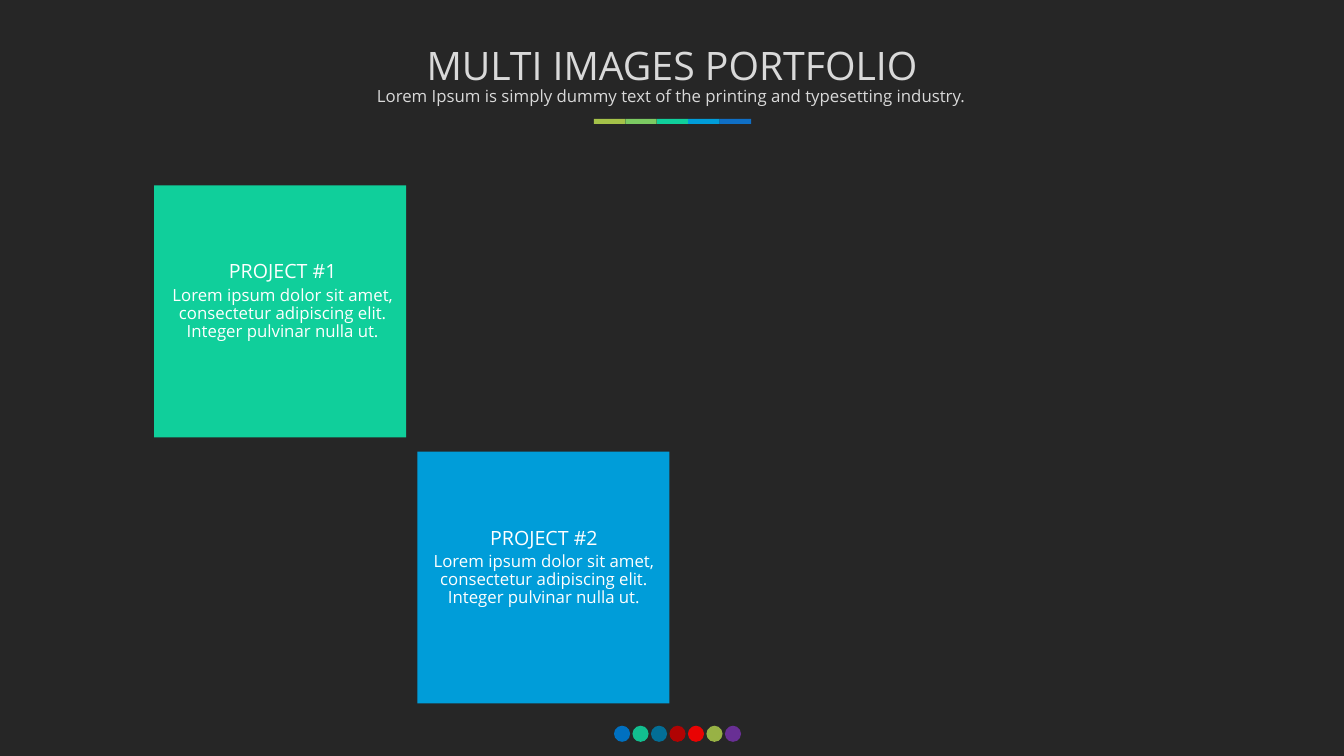
import pptx
import pptx.dml.color
import pptx.enum.shapes
import pptx.enum.text
import pptx.oxml
import pptx.oxml.ns
import pptx.util

Inches = pptx.util.Inches
Pt = pptx.util.Pt
RGBColor = pptx.dml.color.RGBColor
SHAPE = pptx.enum.shapes.MSO_SHAPE
ANCHOR = pptx.enum.text.MSO_ANCHOR
CENTER = pptx.enum.text.PP_ALIGN.CENTER

FONT = "Open Sans"
BACKGROUND = RGBColor(0x26, 0x26, 0x26)
LIGHT_GRAY = RGBColor(0xD9, 0xD9, 0xD9)
WHITE = RGBColor(0xFF, 0xFF, 0xFF)
NAVY = RGBColor(0x0F, 0x6F, 0xC6)
BLUE = RGBColor(0x00, 0x9D, 0xD9)
TEAL = RGBColor(0x10, 0xCF, 0x9B)
GREEN = RGBColor(0x7C, 0xCA, 0x62)
OLIVE = RGBColor(0xA5, 0xC2, 0x49)
COBALT = RGBColor(0x00, 0x70, 0xC0)
PETROL = RGBColor(0x00, 0x76, 0xA3)
CRIMSON = RGBColor(0xC0, 0x00, 0x00)
RED = RGBColor(0xFF, 0x00, 0x00)
PURPLE = RGBColor(0x70, 0x30, 0xA0)

STRIPE_COLORS = [OLIVE, GREEN, TEAL, BLUE, NAVY]
DOT_COLORS = [COBALT, TEAL, PETROL, CRIMSON, RED, OLIVE, PURPLE]
PROJECT_TEXT = "Lorem ipsum dolor sit amet, consectetur adipiscing elit. Integer pulvinar nulla ut."


def add_filled(shapes, kind, left, top, width, height, color, opacity=100):
    """Add a plain filled shape without outline or shadow."""
    shape = shapes.add_shape(kind, Inches(left), Inches(top), Inches(width), Inches(height))
    shape.shadow.inherit = False
    shape.line.fill.background()
    shape.fill.solid()
    shape.fill.fore_color.rgb = color
    if opacity < 100:
        tint = shape.fill._xPr.find(".//" + pptx.oxml.ns.qn("a:srgbClr"))
        alpha = pptx.oxml.parse_xml(
            f'<a:alpha {pptx.oxml.ns.nsdecls("a")} val="{opacity * 1000}"/>')
        tint.append(alpha)
    return shape


def write_para(para, text, size, color, spacing=0.9):
    """Write one centred paragraph."""
    para.alignment = CENTER
    para.line_spacing = spacing
    span = para.add_run()
    span.text = text
    span.font.name = FONT
    span.font.size = Pt(size)
    span.font.color.rgb = color


def add_text_frame(page, left, top, width, height):
    """Add a wrapping text box and return its text frame."""
    box = page.shapes.add_textbox(Inches(left), Inches(top), Inches(width), Inches(height))
    box.text_frame.word_wrap = True
    return box.text_frame


def add_header(page, left, top, width):
    """Place the title, the subtitle and the striped rule."""
    title = page.shapes.title
    title.left, title.top = Inches(left), Inches(top)
    title.width, title.height = Inches(width), Inches(0.49)
    frame = title.text_frame
    frame.auto_size = pptx.enum.text.MSO_AUTO_SIZE.NONE
    frame.vertical_anchor = ANCHOR.MIDDLE
    frame.margin_top = frame.margin_bottom = 0
    write_para(frame.paragraphs[0], "MULTI IMAGES PORTFOLIO", 28, LIGHT_GRAY, 1.0)

    subtitle = add_text_frame(page, left + 0.58, top + 0.42, width - 1.17, 0.3)
    write_para(subtitle.paragraphs[0],
               "Lorem Ipsum is simply dummy text of the printing and typesetting industry.",
               12, LIGHT_GRAY)

    stripe_width = 1.56 / len(STRIPE_COLORS)
    rule = page.shapes.add_group_shape()
    for index, color in enumerate(STRIPE_COLORS):
        add_filled(rule.shapes, SHAPE.RECTANGLE, left + 3.18 + index * stripe_width,
                   top + 0.78, stripe_width, 0.05, color)


def add_project(page, left, top, side, name, color, text_shift):
    """Place a square project card with its name and description."""
    add_filled(page.shapes, SHAPE.RECTANGLE, left, top, side, side, color)
    frame = add_text_frame(page, left + text_shift, top + 0.71, side - 0.05, 0.98)
    write_para(frame.paragraphs[0], name, 14, WHITE)
    description = frame.add_paragraph()
    description.space_before = Pt(2.4)
    write_para(description, PROJECT_TEXT, 12, WHITE)


def add_dots(page, left, top, width, size):
    """Place an evenly spaced row of coloured dots."""
    step = (width - size) / (len(DOT_COLORS) - 1)
    row = page.shapes.add_group_shape()
    for index, color in enumerate(DOT_COLORS):
        add_filled(row.shapes, SHAPE.OVAL, left + index * step, top, size, size, color,
                   90 if index else 100)


def build_portfolio(deck):
    """Build the portfolio page."""
    page = deck.slides.add_slide(deck.slide_layouts.get_by_name("Title Only"))
    page.background.fill.solid()
    page.background.fill.fore_color.rgb = BACKGROUND
    add_dots(page, 6.09, 7.2, 1.26, 0.16)
    add_project(page, 1.53, 1.84, 2.5, "PROJECT #1", TEAL, 0.05)
    add_project(page, 4.14, 4.48, 2.5, "PROJECT #2", BLUE, 0.03)
    add_header(page, 2.71, 0.4, 7.91)


def main():
    """Create and save the deck."""
    deck = pptx.Presentation()
    deck.slide_width, deck.slide_height = Inches(13.33), Inches(7.5)
    build_portfolio(deck)
    deck.save("out.pptx")


if __name__ == "__main__":
    main()
